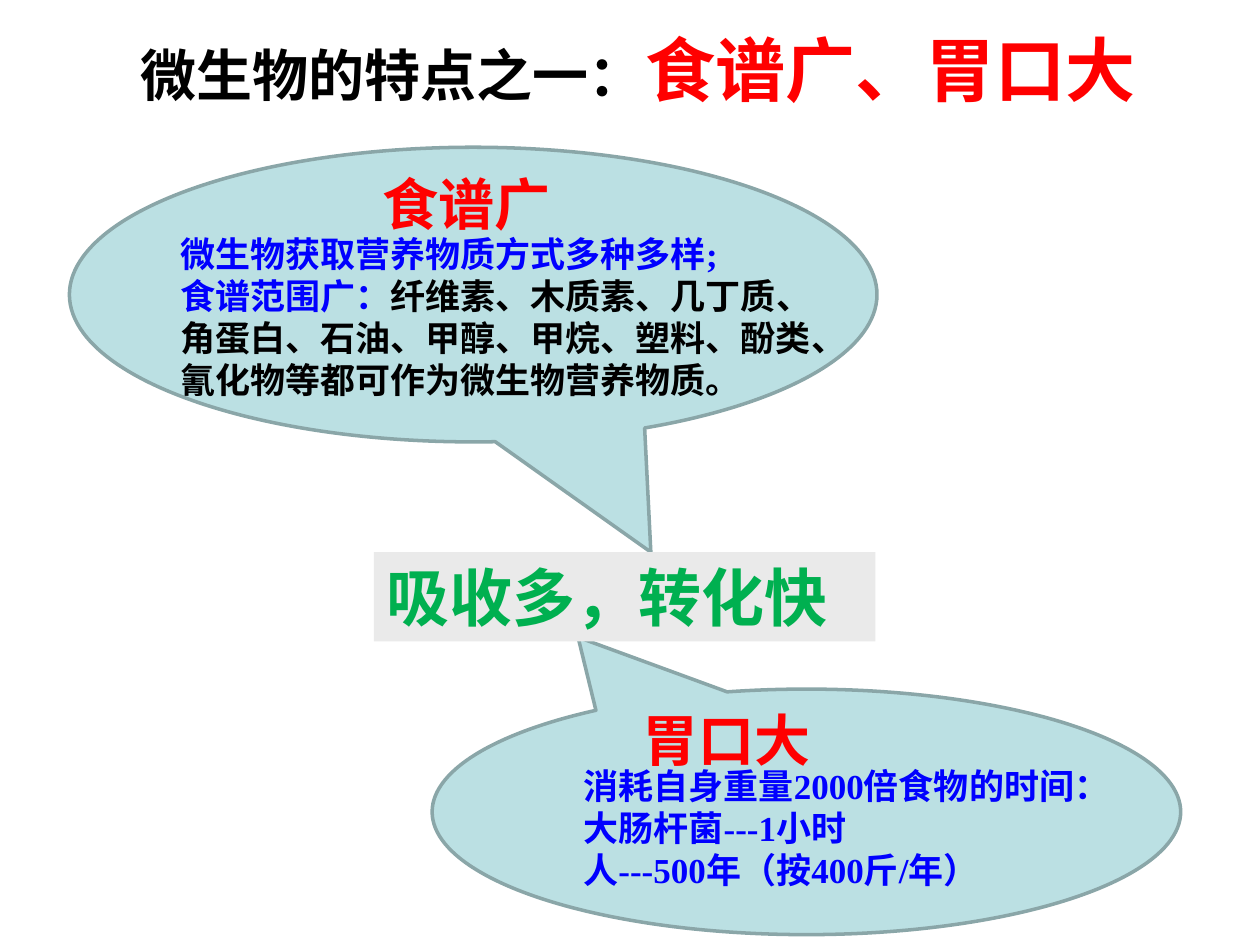
from dataclasses import dataclass

from lxml import etree
from pptx import Presentation
from pptx.dml.color import RGBColor
from pptx.enum import shapes, text
from pptx.oxml import ns
from pptx.util import Cm, Pt

BLACK = RGBColor(0x00, 0x00, 0x00)
RED = RGBColor(0xFF, 0x00, 0x00)
BLUE = RGBColor(0x00, 0x00, 0xFF)
GREEN = RGBColor(0x00, 0xB0, 0x50)
GREY = RGBColor(0xEA, 0xEA, 0xEA)
BUBBLE_FILL = RGBColor(0xBB, 0xE0, 0xE3)
BUBBLE_LINE = RGBColor(0x8A, 0xA6, 0xA8)
SANS = "Noto Sans CJK SC"
SERIF = "Times New Roman"


@dataclass
class Box:
    left: float
    top: float
    width: float
    height: float

    def lengths(self) -> list[Cm]:
        return [Cm(v) for v in (self.left, self.top, self.width, self.height)]


@dataclass
class Span:
    words: str
    color: RGBColor
    size: int | None = None


@dataclass
class Bubble:
    box: Box
    tail: tuple[float, float]
    rotation: int
    heading_box: Box
    heading: str
    body_box: Box
    body: list[list[Span]]


BUBBLES = [
    Bubble(
        Box(1.4, 2.97, 16.28, 5.94), (0.22, 0.874), 0,
        Box(7.47, 3.3, 4.04, 1.63), "食谱广",
        Box(3.38, 4.57, 13.69, 3.68),
        [
            [Span("微生物获取营养物质方式多种多样;", BLUE)],
            [
                Span("食谱范围广：", BLUE),
                Span("纤维素、木质素、几丁质、角蛋白、石油、甲醇、甲烷、塑料、"
                     "酚类、氰化物等都可作为微生物营养物质。", BLACK),
            ],
        ],
    ),
    Bubble(
        Box(8.71, 13.89, 15.09, 4.95), (0.305, 0.711), 180,
        Box(12.7, 14.1, 3.96, 1.63), "胃口大",
        Box(11.51, 15.29, 11.13, 2.82),
        [
            [Span("消耗自身重量2000倍食物的时间：", BLUE)],
            [Span("大肠杆菌---1小时", BLUE)],
            [Span("人---500年（按400斤/年）", BLUE)],
        ],
    ),
]


def write(frame, lines: list[list[Span]], size: int, face: str, wrap: bool = True) -> None:
    """Fill a text frame with bold, left-aligned lines of coloured spans."""
    frame.word_wrap = wrap
    frame.auto_size = text.MSO_AUTO_SIZE.SHAPE_TO_FIT_TEXT
    frame.vertical_anchor = text.MSO_ANCHOR.TOP
    for index, line in enumerate(lines):
        paragraph = frame.paragraphs[0] if index == 0 else frame.add_paragraph()
        paragraph.alignment = text.PP_ALIGN.LEFT
        paragraph.font.size = Pt(size)
        paragraph.font.bold = True
        paragraph.font.name = face
        latin = paragraph.font._element.find(ns.qn("a:latin"))
        east_asian = etree.Element(ns.qn("a:ea"), typeface=SANS)
        latin.addnext(east_asian)
        for span in line:
            run = paragraph.add_run()
            run.text = span.words
            run.font.color.rgb = span.color
            if span.size:
                run.font.size = Pt(span.size)


def add_label(slide, box: Box, lines: list[list[Span]], size: int, face: str,
              wrap: bool = True) -> None:
    label = slide.shapes.add_textbox(*box.lengths())
    write(label.text_frame, lines, size, face, wrap)


def add_bubble(slide, bubble: Bubble) -> None:
    callout = slide.shapes.add_shape(
        shapes.MSO_SHAPE.OVAL_CALLOUT, *bubble.box.lengths())
    callout.shadow.inherit = False
    callout.adjustments[0], callout.adjustments[1] = bubble.tail
    callout.rotation = bubble.rotation
    callout.fill.solid()
    callout.fill.fore_color.rgb = BUBBLE_FILL
    callout.line.color.rgb = BUBBLE_LINE
    callout.line.width = Pt(2)
    add_label(slide, bubble.heading_box, [[Span(bubble.heading, RED)]], 32, SERIF)
    add_label(slide, bubble.body_box, bubble.body, 20, SERIF)


def add_summary(slide) -> None:
    summary = slide.shapes.add_shape(
        shapes.MSO_SHAPE.RECTANGLE, *Box(7.54, 11.13, 10.11, 1.8).lengths())
    summary.shadow.inherit = False
    summary.fill.solid()
    summary.fill.fore_color.rgb = GREY
    summary.line.fill.background()
    write(summary.text_frame, [[Span("吸收多，转化快", GREEN)]], 36, SANS)


def main() -> None:
    deck = Presentation()
    deck.slide_width, deck.slide_height = Cm(25.4), Cm(19.05)
    slide = deck.slides.add_slide(deck.slide_layouts[6])
    title = [Span("微生物的特点之一：", BLACK), Span("食谱广、胃口大", RED, 40)]
    add_label(slide, Box(2.59, 0.41, 20.83, 1.96), [title], 32, SANS, wrap=False)
    for bubble in BUBBLES:
        add_bubble(slide, bubble)
    add_summary(slide)
    deck.save("out.pptx")


if __name__ == "__main__":
    main()
